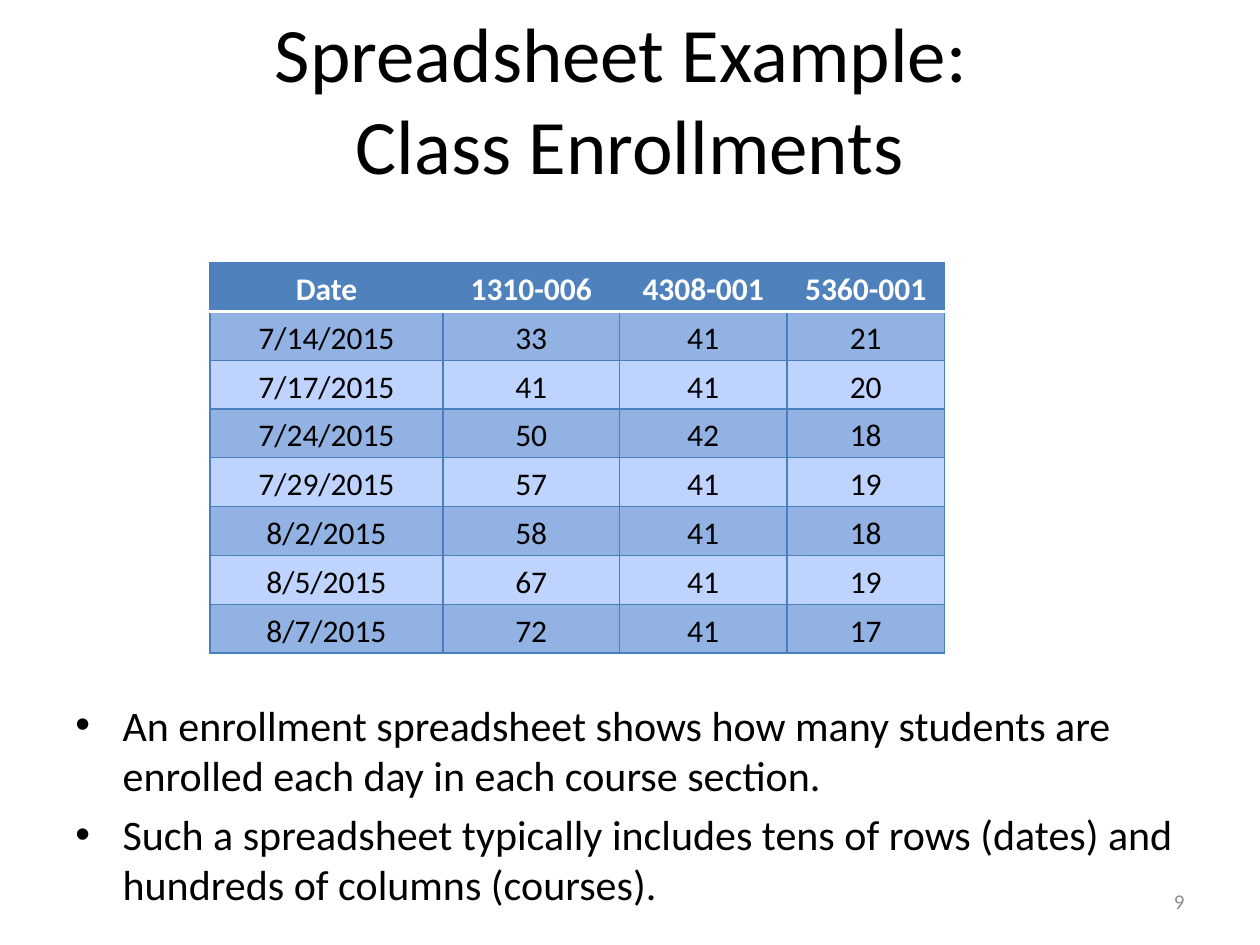
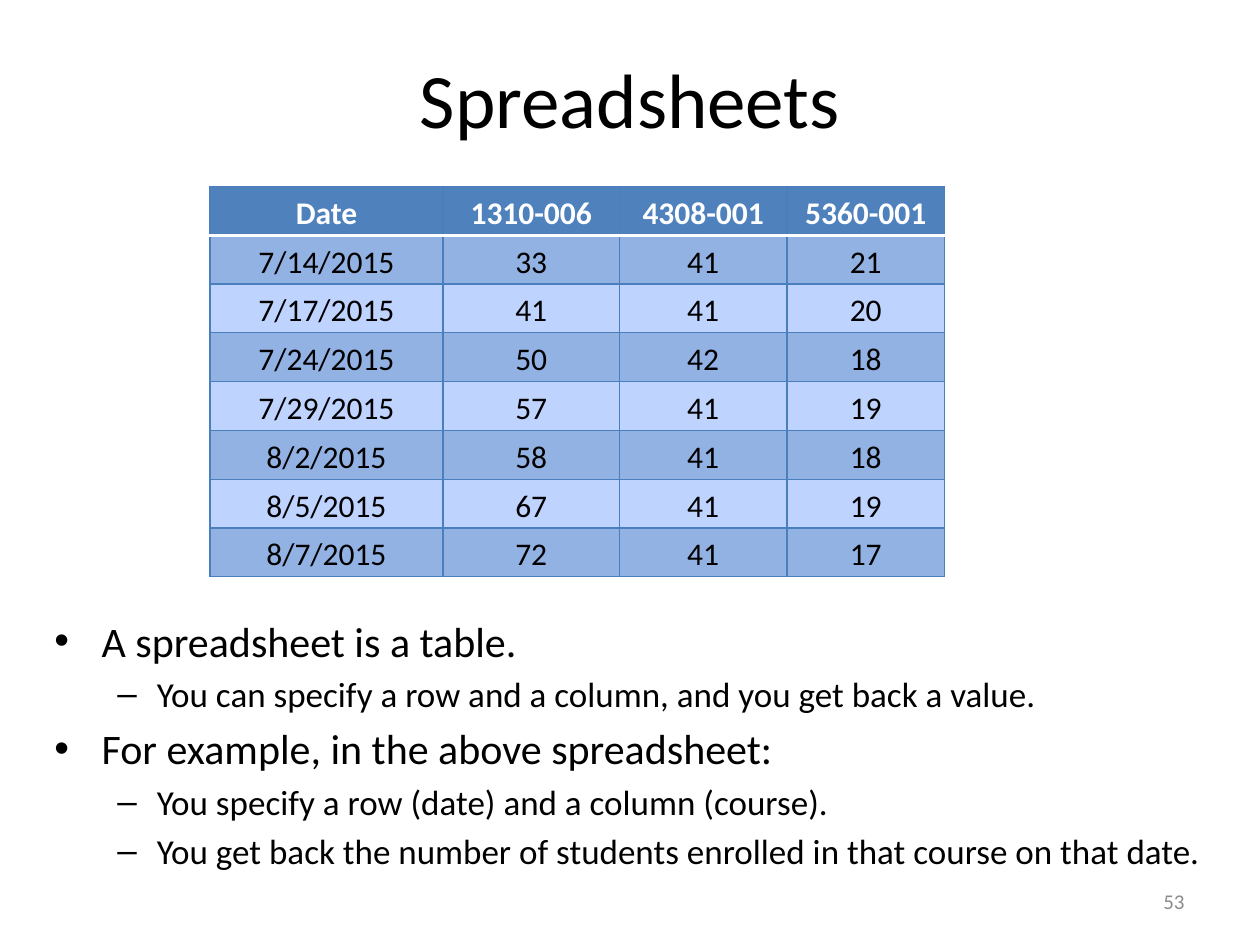
from lxml import etree
from pptx import Presentation
from pptx.dml.color import RGBColor
from pptx.enum.text import MSO_ANCHOR, MSO_AUTO_SIZE, PP_ALIGN
from pptx.oxml.ns import qn
from pptx.util import Pt

CENTER, RIGHT = PP_ALIGN.CENTER, PP_ALIGN.RIGHT
MIDDLE, BOTTOM = MSO_ANCHOR.MIDDLE, MSO_ANCHOR.BOTTOM
FIXED = MSO_AUTO_SIZE.NONE
FACE = "Calibri"
HUES = {
    "ink": "000000",
    "white": "FFFFFF",
    "gray": "8C8C8C",
    "head": "4F81BD",
    "dark": "93B2E4",
    "light": "BFD3FF",
    "rule": "4B7EBC",
}
WIDTHS = [133.2, 100.8, 95.76, 90]
ROW = 27.9
GRID = [
    ["Date", "1310-006", "4308-001", "5360-001"],
    ["7/14/2015", "33", "41", "21"],
    ["7/17/2015", "41", "41", "20"],
    ["7/24/2015", "50", "42", "18"],
    ["7/29/2015", "57", "41", "19"],
    ["8/2/2015", "58", "41", "18"],
    ["8/5/2015", "67", "41", "19"],
    ["8/7/2015", "72", "41", "17"],
]
LEVELS = [
    {"size": 24, "left": 27, "hang": 27, "mark": "\u2022"},
    {"size": 20, "left": 58.5, "hang": 22.5, "mark": "\u2013"},
]
SLIDES = [
    {
        "title": "Spreadsheet Example: \vClass Enrollments",
        "page": "9",
        "top": 150,
        "body": (36, 396, 648),
        "points": [
            (0, "An enrollment spreadsheet shows how many students are "
                "enrolled each day in each course section."),
            (0, "Such a spreadsheet typically includes tens of rows (dates) "
                "and hundreds of columns (courses)."),
        ],
    },
    {
        "title": "Spreadsheets",
        "page": "53",
        "top": 106.5,
        "body": (24, 348, 678),
        "points": [
            (0, "A spreadsheet is a table."),
            (1, "You can specify a row and a column, and you get back a value."),
            (0, "For example, in the above spreadsheet:"),
            (1, "You specify a row (date) and a column (course)."),
            (1, "You get back the number of students enrolled in that course "
                "on that date."),
        ],
    },
]


def style(para, size, hue, align=None, bold=False):
    para.alignment = align
    for run in para.runs:
        run.font.name = FACE
        run.font.size = Pt(size)
        run.font.bold = bold
        run.font.color.rgb = RGBColor.from_string(HUES[hue])


def edge(cell, side, hue, width):
    line = etree.SubElement(cell._tc.get_or_add_tcPr(), qn("a:ln" + side),
                            w=str(Pt(width)))
    fill = etree.SubElement(line, qn("a:solidFill"))
    etree.SubElement(fill, qn("a:srgbClr"), val=HUES[hue])


prs = Presentation()
prs.slide_width, prs.slide_height = Pt(720), Pt(540)

for data in SLIDES:
    slide = prs.slides.add_slide(prs.slide_layouts[5])

    title = slide.shapes.title
    title.left, title.top = Pt(36), Pt(21.6)
    title.width, title.height = Pt(648), Pt(68.4)
    frame = title.text_frame
    frame.text = data["title"]
    frame.auto_size = FIXED
    frame.vertical_anchor = MIDDLE
    style(frame.paragraphs[0], 44, "ink", CENTER)

    page = slide.shapes.add_textbox(Pt(516), Pt(500.4), Pt(168), Pt(28.8))
    frame = page.text_frame
    frame.text = data["page"]
    frame.word_wrap = True
    frame.vertical_anchor = MIDDLE
    style(frame.paragraphs[0], 12, "gray", RIGHT)

    table = slide.shapes.add_table(
        len(GRID), len(WIDTHS), Pt(120), Pt(data["top"]),
        Pt(sum(WIDTHS)), Pt(ROW * len(GRID))).table
    for col, width in zip(table.columns, WIDTHS):
        col.width = Pt(width)
    for r, texts in enumerate(GRID):
        table.rows[r].height = Pt(ROW)
        band = "head" if r == 0 else "dark" if r % 2 else "light"
        for c, text in enumerate(texts):
            cell = table.cell(r, c)
            cell.text = text
            cell.vertical_anchor = BOTTOM
            cell.margin_left = cell.margin_right = Pt(2.16)
            cell.margin_top = cell.margin_bottom = Pt(1.44)
            style(cell.text_frame.paragraphs[0], 18,
                  "ink" if r else "white", CENTER, r == 0)
            for side in "LRTB":
                if (r, side) in [(0, "B"), (1, "T")]:
                    edge(cell, side, "white", 2)
                else:
                    edge(cell, side, "rule", 0.75)
            cell.fill.solid()
            cell.fill.fore_color.rgb = RGBColor.from_string(HUES[band])

    left, top, width = data["body"]
    body = slide.shapes.add_textbox(Pt(left), Pt(top), Pt(width), Pt(86.4))
    frame = body.text_frame
    frame.word_wrap = True
    frame.text = "\n".join(text for _, text in data["points"])
    for para, (depth, _) in zip(frame.paragraphs, data["points"]):
        level = LEVELS[depth]
        para.level = depth
        para.space_before = Pt(level["size"] * 0.2)
        style(para, level["size"], "ink")
        props = para._p.get_or_add_pPr()
        props.set("marL", str(Pt(level["left"])))
        props.set("indent", str(-Pt(level["hang"])))
        etree.SubElement(props, qn("a:buFont"), typeface="Arial")
        etree.SubElement(props, qn("a:buChar"), char=level["mark"])

prs.save("out.pptx")
